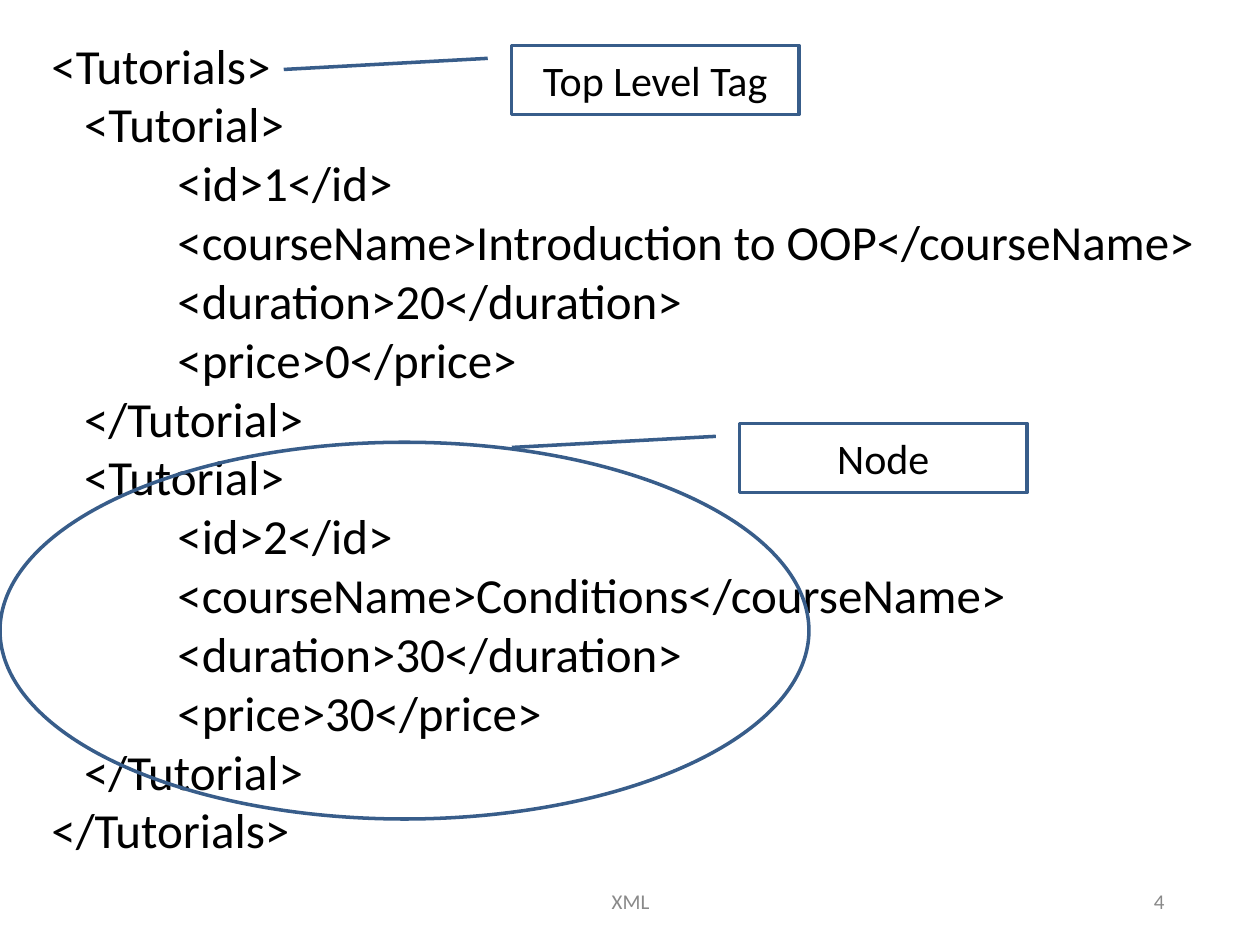
from pptx import Presentation
from pptx.dml.color import RGBColor
from pptx.enum.shapes import MSO_SHAPE as Preset
from pptx.enum.text import MSO_ANCHOR as Anchor, PP_ALIGN as Align
from pptx.util import Inches, Pt

INK, GREY, BLUE = "000000", "898989", "385D8A"
INDENTS = [0, 0.26, 1]
TUTORIALS = [
    [("id", "1"), ("courseName", "Introduction to OOP"), ("duration", "20"), ("price", "0")],
    [("id", "2"), ("courseName", "Conditions"), ("duration", "30"), ("price", "30")],
]
CALLOUTS = [("Top Level Tag", 4.06, 0.36), ("Node", 5.87, 3.36)]
CALLOUT_SIZE = (2.28, 0.55)
POINTER = [0.188, -0.083, 0.348, -0.793]
NODE_RING = (0, 3.51, 6.42, 2.99)
CODE_AREA = (0.31, 0.23, 9.3, 7.57)
FOOTERS = [("XML", (3.42, 6.95, 3.17, 0.4), Align.CENTER),
           ("4", (9.06, 6.95, 0.44, 0.4), Align.LEFT)]


def color(value):
    return RGBColor.from_string(value)


def code_lines():
    yield 0, "<Tutorials>"
    for fields in TUTORIALS:
        yield 1, "<Tutorial>"
        for tag, value in fields:
            yield 2, f"<{tag}>{value}</{tag}>"
        yield 1, "</Tutorial>"
    yield 0, "</Tutorials>"


def write(para, text, size, ink, align=Align.LEFT):
    para.text = text
    para.alignment = align
    para.font.name = "Calibri"
    para.font.size = Pt(size)
    para.font.color.rgb = color(ink)


def add_box(page, area):
    box = page.shapes.add_textbox(*map(Inches, area))
    box.text_frame.word_wrap = True
    return box.text_frame


def add_outline(page, preset, area):
    shape = page.shapes.add_shape(preset, *map(Inches, area))
    shape.shadow.inherit = False
    shape.fill.background()
    shape.line.color.rgb = color(BLUE)
    shape.line.width = Pt(2)
    return shape


def add_callout(page, text, left, top):
    callout = add_outline(page, Preset.LINE_CALLOUT_1, (left, top, *CALLOUT_SIZE))
    for index, value in enumerate(POINTER):
        callout.adjustments[index] = value
    callout.text_frame.vertical_anchor = Anchor.MIDDLE
    write(callout.text_frame.paragraphs[0], text, 24, INK, Align.CENTER)


def main():
    deck = Presentation()
    deck.slide_width, deck.slide_height = Inches(10), Inches(7.5)
    page = deck.slides.add_slide(deck.slide_layouts[6])

    for text, area, align in FOOTERS:
        frame = add_box(page, area)
        frame.vertical_anchor = Anchor.MIDDLE
        write(frame.paragraphs[0], text, 12, GREY, align)

    frame = add_box(page, CODE_AREA)
    for index, (level, text) in enumerate(code_lines()):
        para = frame.add_paragraph() if index else frame.paragraphs[0]
        write(para, text, 28, INK)
        para._p.get_or_add_pPr().set("marL", str(Inches(INDENTS[level])))

    add_outline(page, Preset.OVAL, NODE_RING)
    for callout in CALLOUTS:
        add_callout(page, *callout)

    deck.save("out.pptx")


if __name__ == "__main__":
    main()
